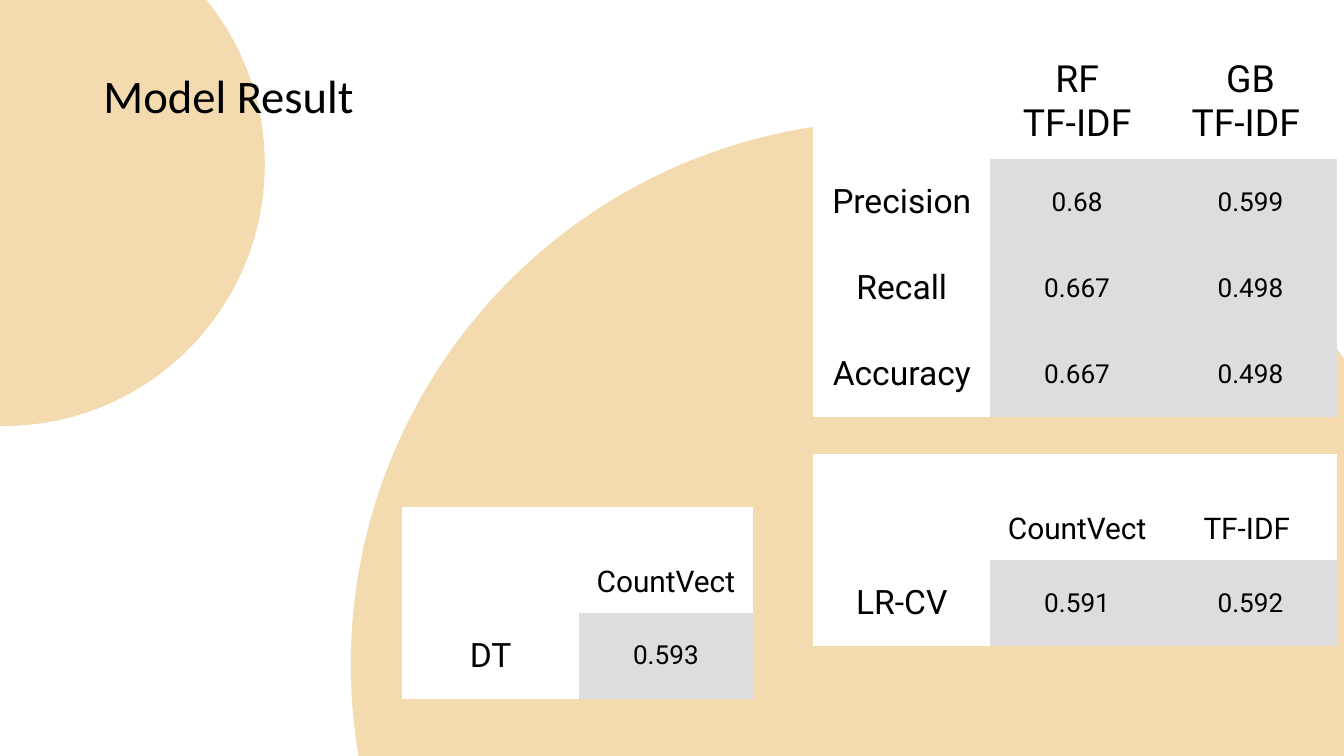
import pptx
import pptx.dml.color
import pptx.enum.shapes
import pptx.enum.text
import pptx.oxml.ns
import pptx.util

WIDTH = 10
HEIGHT = WIDTH * 9 / 16
SAND, GRAY, WHITE, BLACK = "F3DAAF", "DDDDDD", "FFFFFF", "000000"
LABEL_WIDTH, VALUE_WIDTH = 1.32, 1.29
HEADER_HEIGHT, ROW_HEIGHT = 0.79, 0.64
NO_GRID_STYLE = "{2D5ABB26-0587-4C30-8999-92F81FD0307C}"
ANCHOR = pptx.enum.text.MSO_ANCHOR
ALIGN = pptx.enum.text.PP_ALIGN

TITLE = {"text": "Model Result", "place": (0.67, 0.4, 3.15, 0.63)}
CIRCLES = [(2.61, 0.9, 8.09), (-1.92, -0.72, 3.89)]
RESULTS = [
    {"corner": (6.05, 0.33), "header_size": 20, "rows": [
        ("", "RF\nTF-IDF", "GB\nTF-IDF "),
        ("Precision", "0.68", "0.599"),
        ("Recall", "0.667", "0.498"),
        ("Accuracy", "0.667", "0.498"),
    ]},
    {"corner": (6.05, 3.38), "header_size": 16, "rows": [
        ("", "CountVect", "TF-IDF "),
        ("LR-CV", "0.591", "0.592"),
    ]},
    {"corner": (2.99, 3.77), "header_size": 16, "rows": [
        ("", "CountVect"),
        ("DT", "0.593"),
    ]},
]
MARGINS = dict.fromkeys(
    ("margin_left", "margin_top", "margin_right", "margin_bottom"), pptx.util.Inches(0.1))


def color(value):
    return pptx.dml.color.RGBColor.from_string(value)


def inches(*lengths):
    return [pptx.util.Inches(length) for length in lengths]


def apply(target, values):
    for name, value in values.items():
        setattr(target, name, value)


def fill(target, value):
    target.fill.solid()
    target.fill.fore_color.rgb = color(value)


def write(frame, text, font_name, size, align):
    frame.text = text
    for paragraph in frame.paragraphs:
        paragraph.alignment = align
        for run in paragraph.runs:
            apply(run.font, {"name": font_name, "size": pptx.util.Pt(size), "bold": False})
            run.font.color.rgb = color(BLACK)


def add_title(slide):
    title = slide.shapes.title
    apply(title, dict(zip(("left", "top", "width", "height"), inches(*TITLE["place"]))))
    apply(title.text_frame, {**MARGINS, "word_wrap": True, "vertical_anchor": ANCHOR.TOP})
    write(title.text_frame, TITLE["text"], "Calibri", 25, ALIGN.LEFT)


def add_circle(slide, left, top, diameter):
    circle = slide.shapes.add_shape(
        pptx.enum.shapes.MSO_SHAPE.OVAL, *inches(left, top, diameter, diameter))
    circle.shadow.inherit = False
    fill(circle, SAND)
    circle.line.fill.background()
    slide.shapes.title._element.addprevious(circle._element)


def add_result(slide, corner, header_size, rows):
    widths = [LABEL_WIDTH] + [VALUE_WIDTH] * (len(rows[0]) - 1)
    heights = [HEADER_HEIGHT] + [ROW_HEIGHT] * (len(rows) - 1)
    frame = slide.shapes.add_table(
        len(rows), len(widths), *inches(*corner, sum(widths), sum(heights)))
    result = frame.table
    result._tbl.tblPr.find(pptx.oxml.ns.qn("a:tableStyleId")).text = NO_GRID_STYLE
    apply(result, {"first_row": False, "horz_banding": False})
    for column, width in zip(result.columns, inches(*widths)):
        column.width = width
    for row, height in zip(result.rows, inches(*heights)):
        row.height = height
    for r, texts in enumerate(rows):
        for c, text in enumerate(texts):
            cell = result.cell(r, c)
            anchor = ANCHOR.MIDDLE if r else ANCHOR.BOTTOM
            apply(cell, {**MARGINS, "vertical_anchor": anchor})
            fill(cell, GRAY if r and c else WHITE)
            size = header_size if r == 0 else 14 if c else 18
            write(cell.text_frame, text, "Roboto", size, ALIGN.CENTER)


def main():
    deck = pptx.Presentation()
    deck.slide_width, deck.slide_height = inches(WIDTH, HEIGHT)
    slide = deck.slides.add_slide(deck.slide_layouts[5])
    fill(slide.background, WHITE)
    add_title(slide)
    for circle in CIRCLES:
        add_circle(slide, *circle)
    for result in RESULTS:
        add_result(slide, **result)
    deck.save("out.pptx")


if __name__ == "__main__":
    main()
